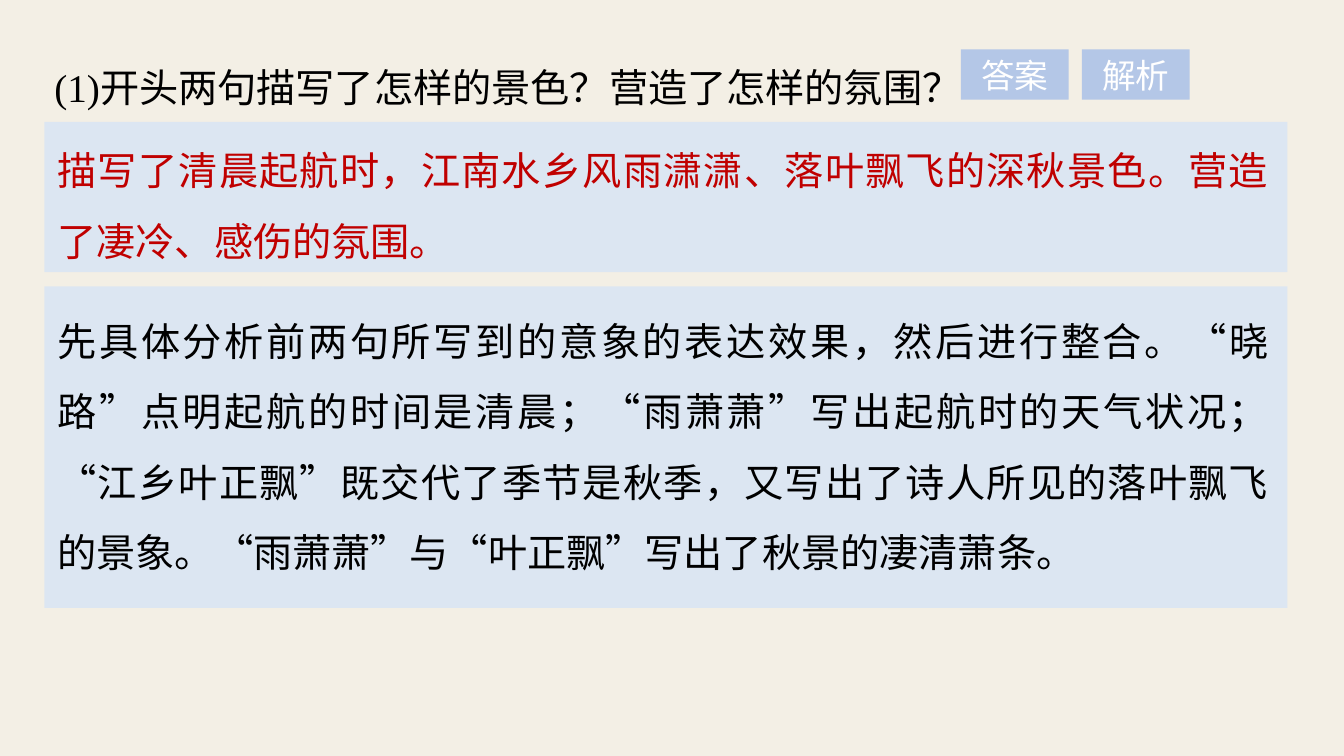
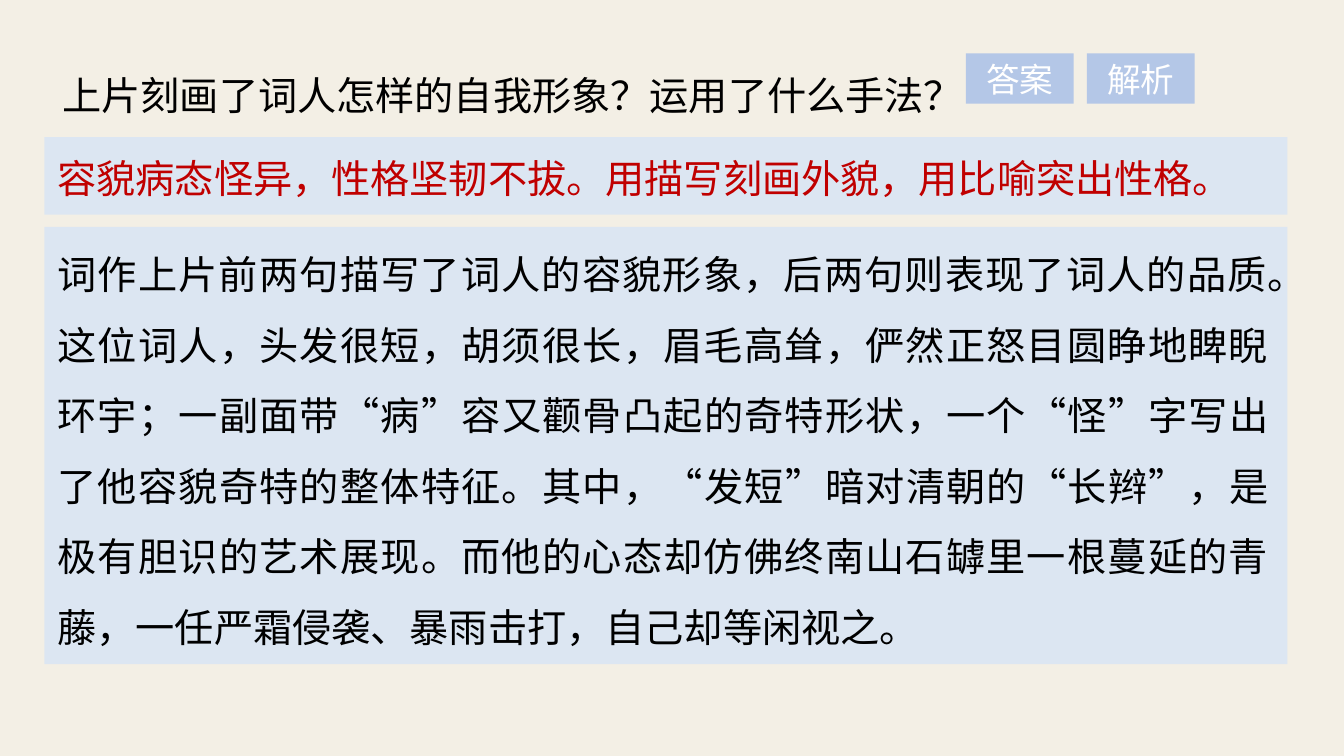
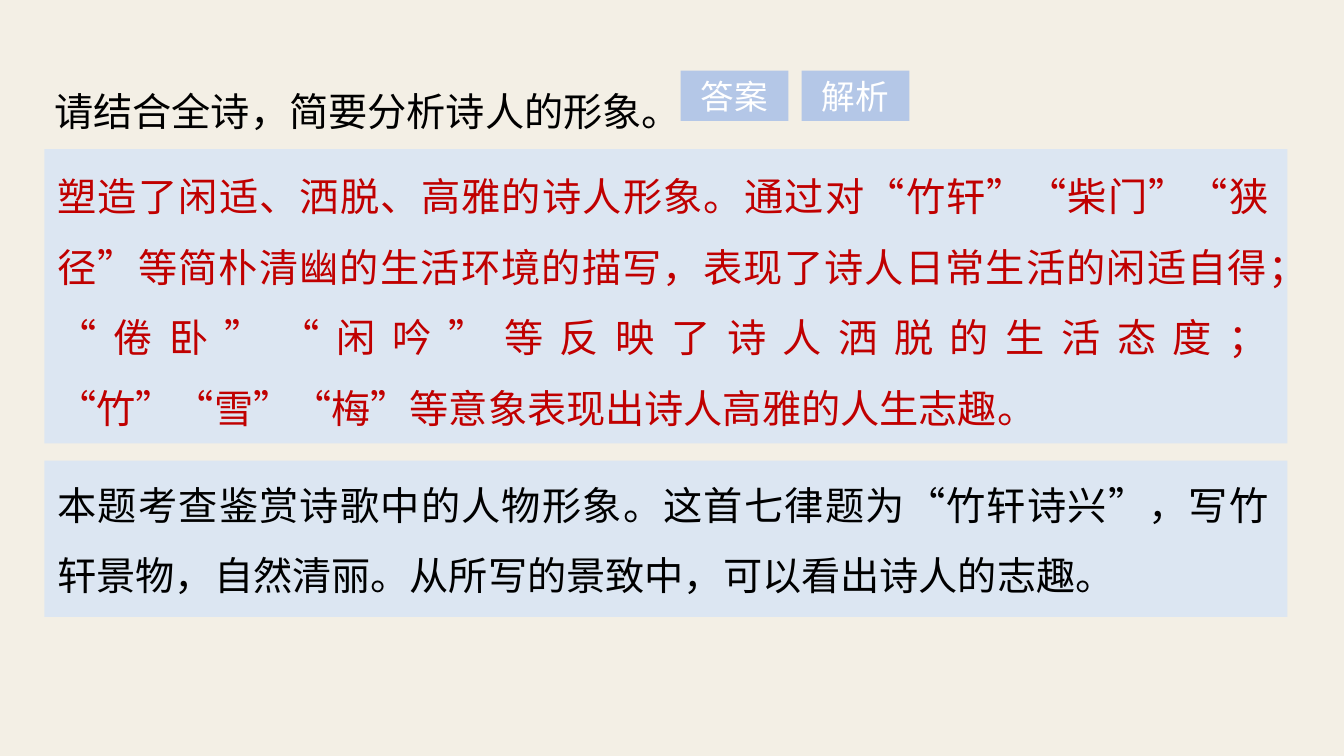
import itertools
from dataclasses import dataclass

import pptx
import pptx.dml.color
import pptx.enum.shapes
import pptx.enum.text
import pptx.oxml.ns
import pptx.util
from pptx.util import Inches


@dataclass(frozen=True)
class Theme:
    background: str = "F3EFE5"
    panel: str = "DCE6F2"
    button: str = "B4C7E7"
    button_text: str = "FFFFFF"
    text: str = "000000"
    answer: str = "C00000"
    latin_font: str = "Times New Roman"
    chinese_font: str = "Noto Sans CJK SC"
    button_font: str = "Arial"
    body_size: float = 28
    button_size: float = 24
    line_pitch: float = 50.4


@dataclass(frozen=True)
class Panel:
    """A tinted band and the text laid over it; lengths in inches."""
    top: float
    height: float
    text_top: float
    text_height: float
    text: str


@dataclass(frozen=True)
class Exercise:
    question_at: tuple
    question: str
    buttons_at: tuple
    answer: Panel
    analysis: Panel


THEME = Theme()
PANEL_LEFT, PANEL_WIDTH = 0.44, 12.33
TEXT_WIDTH, QUESTION_HEIGHT = 12.27, 0.75
BUTTON_WIDTH, BUTTON_HEIGHT, BUTTON_STEP = 1.07, 0.5, 1.2
BUTTON_LABELS = ("答案", "解析")

EXERCISES = (
    Exercise(
        (0.41, 0.32), "(1)开头两句描写了怎样的景色？营造了怎样的氛围？", (9.53, 0.49),
        Panel(1.21, 1.49, 1.15, 1.46,
              "描写了清晨起航时，江南水乡风雨潇潇、落叶飘飞的深秋景色。营造了凄冷、感伤的氛围。"),
        Panel(2.84, 3.19, 2.84, 2.96,
              "先具体分析前两句所写到的意象的表达效果，然后进行整合。“晓路”点明起航的时间是清晨；"
              "“雨萧萧”写出起航时的天气状况；“江乡叶正飘”既交代了季节是秋季，"
              "又写出了诗人所见的落叶飘飞的景象。“雨萧萧”与“叶正飘”写出了秋景的凄清萧条。")),
    Exercise(
        (0.49, 0.4), "上片刻画了词人怎样的自我形象？运用了什么手法？", (9.58, 0.53),
        Panel(1.36, 0.77, 1.23, 0.75,
              "容貌病态怪异，性格坚韧不拔。用描写刻画外貌，用比喻突出性格。"),
        Panel(2.25, 4.34, 2.18, 4.29,
              "词作上片前两句描写了词人的容貌形象，后两句则表现了词人的品质。这位词人，头发很短，"
              "胡须很长，眉毛高耸，俨然正怒目圆睁地睥睨环宇；一副面带“病”容又颧骨凸起的奇特形状，"
              "一个“怪”字写出了他容貌奇特的整体特征。其中，“发短”暗对清朝的“长辫”，"
              "是极有胆识的艺术展现。而他的心态却仿佛终南山石罅里一根蔓延的青藤，"
              "一任严霜侵袭、暴雨击打，自己却等闲视之。")),
    Exercise(
        (0.41, 0.56), "请结合全诗，简要分析诗人的形象。", (6.75, 0.7),
        Panel(1.48, 2.92, 1.41, 2.96,
              "塑造了闲适、洒脱、高雅的诗人形象。通过对“竹轩”“柴门”“狭径”等简朴清幽的生活环境的描写，"
              "表现了诗人日常生活的闲适自得；“倦卧”“闲吟”等反映了诗人洒脱的生活态度；"
              "“竹”“雪”“梅”等意象表现出诗人高雅的人生志趣。"),
        Panel(4.57, 1.55, 4.47, 1.46,
              "本题考查鉴赏诗歌中的人物形象。这首七律题为“竹轩诗兴”，写竹轩景物，自然清丽。"
              "从所写的景致中，可以看出诗人的志趣。")),
)


def rgb(value):
    return pptx.dml.color.RGBColor.from_string(value)


def set_run_fonts(run, latin):
    run.font.name = latin
    properties = run.font._element
    east_asian = properties.makeelement(pptx.oxml.ns.qn("a:ea"), {"typeface": THEME.chinese_font})
    properties.find(pptx.oxml.ns.qn("a:latin")).addnext(east_asian)


def add_rectangle(slide, left, top, width, height, color):
    shape = slide.shapes.add_shape(pptx.enum.shapes.MSO_SHAPE.RECTANGLE, Inches(left),
                                   Inches(top), Inches(width), Inches(height))
    shape.shadow.inherit = False
    shape.fill.solid()
    shape.fill.fore_color.rgb = rgb(color)
    shape.line.fill.background()
    return shape


def add_body_text(slide, left, top, height, text, color):
    """Add justified text whose curly quotes use the Chinese font."""
    box = slide.shapes.add_textbox(Inches(left), Inches(top), Inches(TEXT_WIDTH), Inches(height))
    frame = box.text_frame
    frame.word_wrap = True
    frame.auto_size = pptx.enum.text.MSO_AUTO_SIZE.SHAPE_TO_FIT_TEXT
    frame.margin_left = frame.margin_right = Inches(0.13)
    frame.margin_top = frame.margin_bottom = Inches(0.07)
    paragraph = frame.paragraphs[0]
    paragraph.alignment = pptx.enum.text.PP_ALIGN.JUSTIFY
    paragraph.line_spacing = pptx.util.Pt(THEME.line_pitch)
    paragraph.font.size = pptx.util.Pt(THEME.body_size)
    paragraph.font.color.rgb = rgb(color)
    for is_quote, characters in itertools.groupby(text, lambda character: character in "“”"):
        run = paragraph.add_run()
        run.text = "".join(characters)
        set_run_fonts(run, THEME.chinese_font if is_quote else THEME.latin_font)


def add_panel(slide, panel, color):
    add_rectangle(slide, PANEL_LEFT, panel.top, PANEL_WIDTH, panel.height, THEME.panel)
    add_body_text(slide, PANEL_LEFT, panel.text_top, panel.text_height, panel.text, color)


def add_buttons(slide, left, top):
    for index, label in enumerate(BUTTON_LABELS):
        button = add_rectangle(slide, left + index * BUTTON_STEP, top,
                               BUTTON_WIDTH, BUTTON_HEIGHT, THEME.button)
        button.text_frame.vertical_anchor = pptx.enum.text.MSO_ANCHOR.MIDDLE
        paragraph = button.text_frame.paragraphs[0]
        paragraph.alignment = pptx.enum.text.PP_ALIGN.CENTER
        paragraph.font.size = pptx.util.Pt(THEME.button_size)
        paragraph.font.color.rgb = rgb(THEME.button_text)
        run = paragraph.add_run()
        run.text = label
        set_run_fonts(run, THEME.button_font)


def add_exercise_slide(presentation, exercise):
    slide = presentation.slides.add_slide(presentation.slide_layouts[6])
    slide.background.fill.solid()
    slide.background.fill.fore_color.rgb = rgb(THEME.background)
    add_body_text(slide, *exercise.question_at, QUESTION_HEIGHT, exercise.question, THEME.text)
    add_panel(slide, exercise.answer, THEME.answer)
    add_buttons(slide, *exercise.buttons_at)
    add_panel(slide, exercise.analysis, THEME.text)


def main():
    presentation = pptx.Presentation()
    presentation.slide_width = Inches(13.33)
    presentation.slide_height = Inches(7.5)
    for exercise in EXERCISES:
        add_exercise_slide(presentation, exercise)
    presentation.save("out.pptx")


if __name__ == "__main__":
    main()
